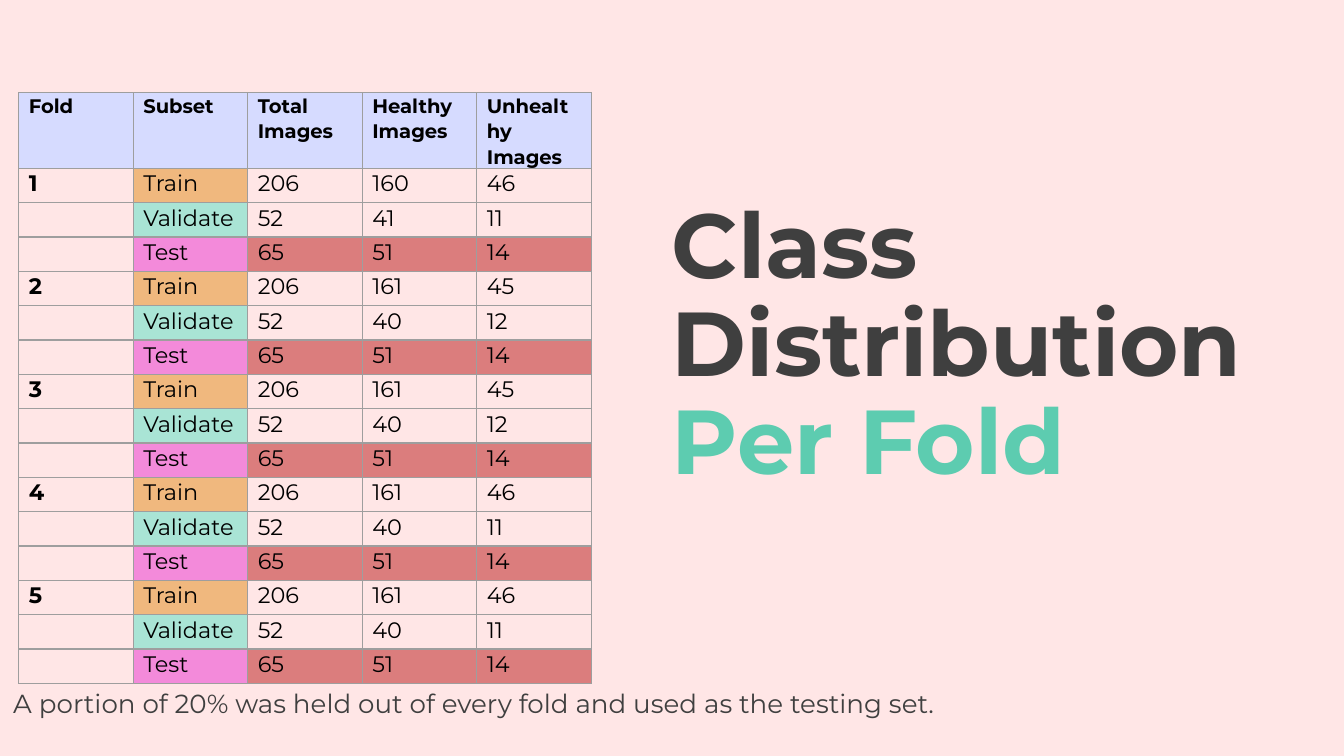
"""Build the slide that shows class distribution per fold."""
from dataclasses import dataclass

from lxml import etree
from pptx import Presentation
from pptx.dml.color import RGBColor
from pptx.enum.text import MSO_ANCHOR
from pptx.oxml.ns import qn
from pptx.util import Emu, Inches, Pt

MIDDLE, TOP = MSO_ANCHOR.MIDDLE, MSO_ANCHOR.TOP
WIDTH = Inches(10)
HEIGHT = Emu(WIDTH * 9 // 16)
FONT = "Montserrat"
INK, BLACK, MINT = "3F3F3F", "000000", "5DCCB0"
PAGE_FILL, HEADER_FILL, TEST_FILL, BORDER = "FFE6E6", "D6DBFF", "DB7D7D", "9E9E9E"
HEADERS = ("Fold", "Subset", "Total Images", "Healthy Images", "Unhealthy Images")
SUBSET_FILLS = {"Train": "F0B87E", "Validate": "A9E4D5", "Test": "F38ADA"}


@dataclass(frozen=True)
class Fold:
    """Total, healthy and unhealthy image counts of one fold."""

    train: tuple[int, int, int]
    validate: tuple[int, int, int]
    test: tuple[int, int, int] = (65, 51, 14)


@dataclass(frozen=True)
class Area:
    """A rectangle given as shares of the slide's size."""

    left: float
    top: float
    width: float
    height: float

    def lengths(self) -> tuple[Emu, Emu, Emu, Emu]:
        """Return left, top, width and height as lengths."""
        return (Emu(int(self.left * WIDTH)), Emu(int(self.top * HEIGHT)),
                Emu(int(self.width * WIDTH)), Emu(int(self.height * HEIGHT)))


FOLDS = (
    Fold((206, 160, 46), (52, 41, 11)),
    Fold((206, 161, 45), (52, 40, 12)),
    Fold((206, 161, 45), (52, 40, 12)),
    Fold((206, 161, 46), (52, 40, 11)),
    Fold((206, 161, 46), (52, 40, 11)),
)
TITLE_AREA = Area(0.49, 1.88 / 5.62, 0.53, 1.4 / 5.62)
TABLE_AREA = Area(0.014, 0.69 / 5.62, 0.426, 4.09 / 5.62)
CAPTION_AREA = Area(0, 0.9, 0.715, 0.06)


def color(value: str) -> RGBColor:
    """Turn a hex string into a colour."""
    return RGBColor.from_string(value)


def write(para, text: str, *, size: float, ink: str = INK, bold: bool = False) -> None:
    """Add a formatted span of text to a paragraph."""
    span = para.add_run()
    span.text = text
    span.font.name = FONT
    span.font.size = Pt(size)
    span.font.bold = bold
    span.font.color.rgb = color(ink)


def add_box(page, area: Area, anchor, inset: float):
    """Add a wrapping text box and return its first paragraph."""
    frame = page.shapes.add_textbox(*area.lengths()).text_frame
    frame.word_wrap = True
    frame.vertical_anchor = anchor
    frame.margin_top = frame.margin_bottom = Inches(inset)
    return frame.paragraphs[0]


def add_borders(cell) -> None:
    """Draw a thin line on all sides of a cell."""
    properties = cell._tc.get_or_add_tcPr()
    for side in ("a:lnL", "a:lnR", "a:lnT", "a:lnB"):
        line = etree.SubElement(properties, qn(side), w=str(Pt(0.75)))
        fill = etree.SubElement(line, qn("a:solidFill"))
        etree.SubElement(fill, qn("a:srgbClr"), val=BORDER)


def fill_cell(cell, text: str, fill: str | None, *, size: float, bold: bool) -> None:
    """Set the text, fill and borders of a table cell."""
    cell.margin_left, cell.margin_right = Pt(5.4), Inches(0.08)
    cell.margin_top = cell.margin_bottom = 0
    add_borders(cell)
    if fill:
        cell.fill.solid()
        cell.fill.fore_color.rgb = color(fill)
    else:
        cell.fill.background()
    para = cell.text_frame.paragraphs[0]
    if text:
        para.line_spacing = 1.07
        para.space_after = Pt(8)
        write(para, text, size=size, ink=BLACK, bold=bold)
    else:
        etree.SubElement(para._p, qn("a:endParaRPr"), sz="1200")


def fold_rows(number: int, fold: Fold) -> list[tuple[list[str], list[str | None]]]:
    """Return the texts and fills of the three rows of a fold."""
    rows = []
    for subset, counts in zip(SUBSET_FILLS, (fold.train, fold.validate, fold.test)):
        label = str(number) if subset == "Train" else ""
        count_fill = TEST_FILL if subset == "Test" else None
        rows.append(([label, subset, *map(str, counts)],
                     [None, SUBSET_FILLS[subset]] + [count_fill] * len(counts)))
    return rows


def add_fold_table(page) -> None:
    """Add the table of image counts."""
    rows = [(HEADERS, [HEADER_FILL] * len(HEADERS))]
    for number, fold in enumerate(FOLDS, start=1):
        rows += fold_rows(number, fold)
    table = page.shapes.add_table(len(rows), len(HEADERS), *TABLE_AREA.lengths()).table
    table.first_row = table.horz_banding = False
    for row, (texts, fills) in enumerate(rows):
        for column, (text, fill) in enumerate(zip(texts, fills)):
            fill_cell(table.cell(row, column), text, fill,
                      size=12 if row else 10.5, bold=row == 0 or column == 0)


def main() -> None:
    """Build and save the deck."""
    deck = Presentation()
    deck.slide_width, deck.slide_height = WIDTH, HEIGHT
    page = deck.slides.add_slide(deck.slide_layouts[6])
    page.background.fill.solid()
    page.background.fill.fore_color.rgb = color(PAGE_FILL)

    title = add_box(page, TITLE_AREA, MIDDLE, 0.1)
    title.line_spacing = 0.9
    write(title, "Class Distribution ", size=48.6, bold=True)
    write(title, "Per Fold", size=48.6, ink=MINT, bold=True)

    add_fold_table(page)

    caption = add_box(page, CAPTION_AREA, TOP, 0.05)
    write(caption, "A portion of 20% was held out of every fold and used as the testing set.",
          size=14)
    deck.save("out.pptx")


if __name__ == "__main__":
    main()
